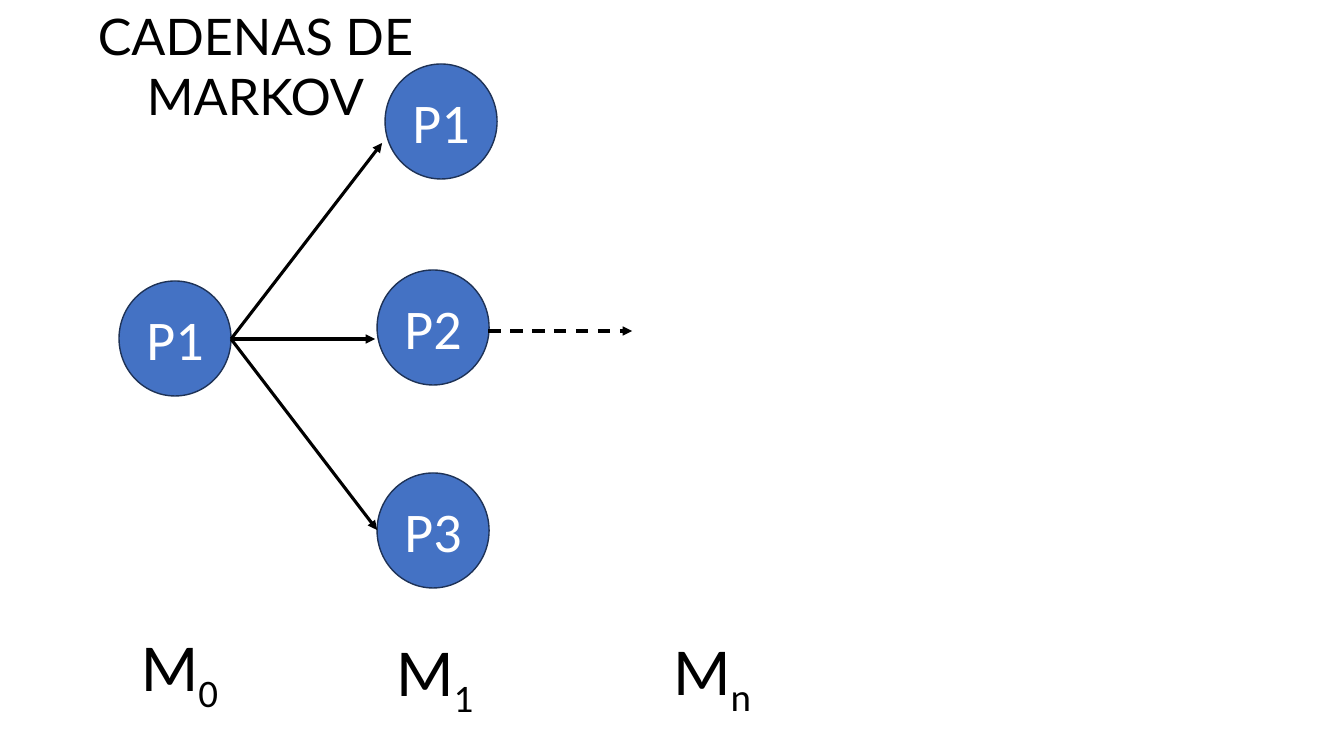
from dataclasses import dataclass

from lxml.etree import SubElement
from pptx import Presentation
from pptx.dml.color import RGBColor
from pptx.enum.dml import MSO_LINE
from pptx.enum.shapes import MSO_CONNECTOR, MSO_SHAPE
from pptx.enum.text import MSO_ANCHOR, MSO_AUTO_SIZE, PP_ALIGN
from pptx.oxml.ns import qn
from pptx.util import Emu, Inches, Pt

PIXELS_PER_INCH = 100.8
TITLE_ONLY = 5


@dataclass(frozen=True)
class Theme:
    ink: RGBColor = RGBColor(0, 0, 0)
    state_fill: RGBColor = RGBColor(0x44, 0x72, 0xC4)
    state_line: RGBColor = RGBColor(0x1E, 0x32, 0x56)
    state_text: RGBColor = RGBColor(0xFF, 0xFF, 0xFF)
    title_font: str = "Lato"
    body_font: str = "Calibri"
    title_size: int = 36
    state_size: int = 40
    step_size: int = 48
    outline: float = 1
    arrow: float = 2.25


THEME = Theme()
STATE_WIDTH, STATE_HEIGHT = 112, 115


def px(length):
    return Emu(round(length * Inches(1) / PIXELS_PER_INCH))


def add_span(para, text, *, font=THEME.body_font, size, color=THEME.ink, baseline=None):
    span = para.add_run()
    span.text = text
    span.font.name = font
    span.font.size = Pt(size)
    span.font.color.rgb = color
    if baseline is not None:
        span.font._element.set("baseline", str(baseline * 1000))


def set_title(page, text, left, top, width, height):
    title = page.shapes.title
    title.left, title.top, title.width, title.height = map(px, (left, top, width, height))
    frame = title.text_frame
    frame.word_wrap = True
    frame.auto_size = MSO_AUTO_SIZE.SHAPE_TO_FIT_TEXT
    frame.vertical_anchor = MSO_ANCHOR.TOP
    para = frame.paragraphs[0]
    para.alignment = PP_ALIGN.CENTER
    para.line_spacing = 1.0
    add_span(para, text, font=THEME.title_font, size=THEME.title_size)


def add_state(page, text, left, top):
    state = page.shapes.add_shape(
        MSO_SHAPE.OVAL, px(left), px(top), px(STATE_WIDTH), px(STATE_HEIGHT))
    state.shadow.inherit = False
    state.fill.solid()
    state.fill.fore_color.rgb = THEME.state_fill
    state.line.color.rgb = THEME.state_line
    state.line.width = Pt(THEME.outline)
    state.text_frame.vertical_anchor = MSO_ANCHOR.MIDDLE
    para = state.text_frame.paragraphs[0]
    para.alignment = PP_ALIGN.CENTER
    add_span(para, text, size=THEME.state_size, color=THEME.state_text)


def add_arrow(page, start, end, dash=None):
    arrow = page.shapes.add_connector(
        MSO_CONNECTOR.STRAIGHT, *map(px, (*start, *end)))
    arrow.line.color.rgb = THEME.ink
    arrow.line.width = Pt(THEME.arrow)
    if dash is not None:
        arrow.line.dash_style = dash
    properties = arrow._element.spPr
    SubElement(properties.find(qn("a:ln")), qn("a:tailEnd"), type="triangle")
    SubElement(properties, qn("a:effectLst"))


def add_step(page, subscript, left, top):
    box = page.shapes.add_textbox(px(left), px(top), px(116), px(92))
    frame = box.text_frame
    frame.word_wrap = True
    frame.auto_size = MSO_AUTO_SIZE.SHAPE_TO_FIT_TEXT
    para = frame.paragraphs[0]
    add_span(para, "M", size=THEME.step_size)
    add_span(para, subscript, size=THEME.step_size, baseline=-25)


def main():
    deck = Presentation()
    deck.slide_width, deck.slide_height = Inches(13.33), Inches(7.5)
    page = deck.slides.add_slide(deck.slide_layouts[TITLE_ONLY])

    # States of the chain
    for text, left, top in (("P1", 119, 281), ("P1", 385, 64),
                            ("P2", 377, 270), ("P3", 377, 473)):
        add_state(page, text, left, top)

    # Transitions out of the first state, then the continuation
    origin = (231, 339)
    for target in ((382, 143), (375, 339), (377, 530)):
        add_arrow(page, origin, target)
    add_arrow(page, (488, 331), (632, 331), dash=MSO_LINE.DASH)

    # Title and step labels
    set_title(page, "CADENAS DE MARKOV", 0, 0, 511, 72)
    for subscript, left, top in (("0", 131, 619), ("1", 386, 624), ("n", 663, 623)):
        add_step(page, subscript, left, top)

    deck.save("out.pptx")


main()
